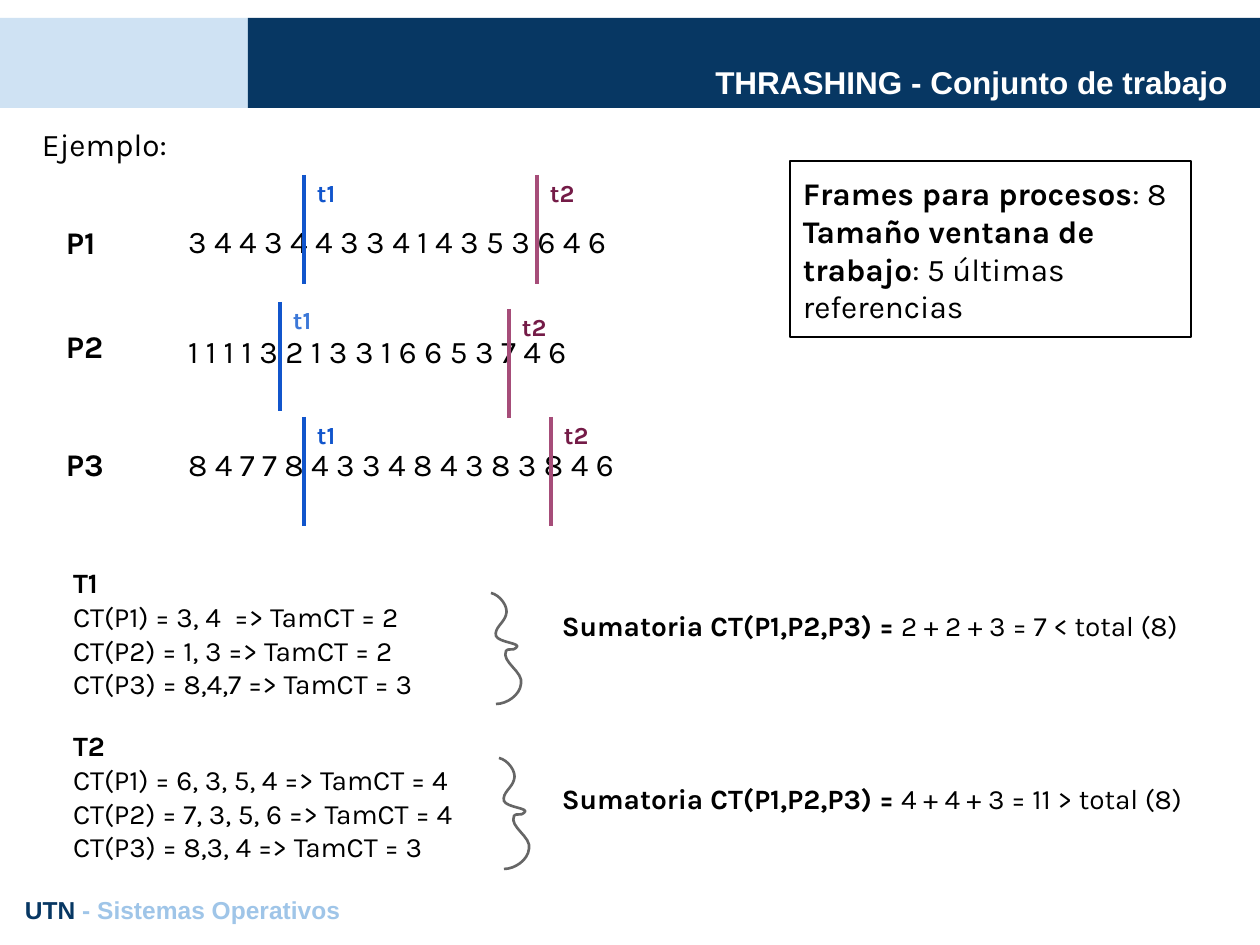
import collections
import dataclasses

import pptx
import pptx.dml.color
import pptx.enum.shapes
import pptx.enum.text
import pptx.oxml.ns
import pptx.oxml.xmlchemy
import pptx.util

PX = 914400 / 126
Box = collections.namedtuple("Box", "left top width height")
Span = collections.namedtuple("Span", "text bold color", defaults=(False, None))
Mark = collections.namedtuple("Mark", "name left top line_color text_color")


@dataclasses.dataclass(frozen=True)
class Theme:
    heading_font: str = "Arial"
    body_font: str = "Karla"
    large: int = 18
    medium: int = 16
    small: int = 14
    black: str = "000000"
    white: str = "FFFFFF"
    navy: str = "073763"
    pale_blue: str = "CFE2F3"
    soft_blue: str = "9FC5E8"
    blue: str = "1155CC"
    light_blue: str = "3C78D8"
    plum: str = "A64D79"
    dark_plum: str = "741B47"
    gray: str = "666666"


THEME = Theme()
ALIGN = pptx.enum.text.PP_ALIGN
ANCHOR = pptx.enum.text.MSO_ANCHOR

ROWS = [
    ("P1", "3 4 4 3 4 4 3 3 4 1 4 3 5 3 6 4 6", Box(53, 175, 1123, 109), 35, 34, [
        Mark("t1", 251, 0, THEME.blue, THEME.blue),
        Mark("t2", 484, 0, THEME.plum, THEME.dark_plum)]),
    ("P2", "1 1 1 1 3 2 1 3 3 1 6 6 5 3 7 4 6", Box(53, 302, 1123, 109), 12, 17, [
        Mark("t1", 227, 0, THEME.blue, THEME.light_blue),
        Mark("t2", 456, 7, THEME.plum, THEME.dark_plum)]),
    ("P3", "8 4 7 7 8 4 3 3 4 8 4 3 8 3 8 4 6", Box(53, 417, 1123, 109), 15, 15, [
        Mark("t1", 251, 0, THEME.blue, THEME.blue),
        Mark("t2", 498, 0, THEME.plum, THEME.dark_plum)]),
]

# Start point, then three points for each curve of the brace
BRACE = [(0, 0), (9, 2), (18, 14), (15, 22), (13, 30), (3, 35), (5, 43),
         (8, 50), (32, 50), (25, 55), (23, 58), (16, 55), (15, 58),
         (10, 69), (33, 79), (30, 91), (29, 102), (16, 111), (5, 111)]


def px(length):
    return pptx.util.Emu(round(length * PX))


def rgb(color):
    return pptx.dml.color.RGBColor.from_string(color)


def fill_text(shape, paras, size, font=THEME.body_font, align=ALIGN.LEFT, anchor=ANCHOR.TOP):
    """Write paras, each a list of spans, into the shape."""
    frame = shape.text_frame
    frame.word_wrap = True
    frame.vertical_anchor = anchor
    frame.margin_left = frame.margin_right = px(13)
    frame.margin_top = frame.margin_bottom = px(13)
    for index, spans in enumerate(paras):
        para = frame.add_paragraph() if index else frame.paragraphs[0]
        para.alignment = align
        para.font.size = pptx.util.Pt(size)
        para.font.name = font
        for span in spans:
            run = para.add_run()
            run.text = span.text
            run.font.bold = span.bold
            run.font.color.rgb = rgb(span.color or THEME.black)


def add_text(page, box, paras, size, **options):
    fill_text(page.shapes.add_textbox(*map(px, box)), paras, size, **options)


def add_rectangle(page, box, fill=None, line=None):
    shape = page.shapes.add_shape(pptx.enum.shapes.MSO_SHAPE.RECTANGLE, *map(px, box))
    shape.shadow.inherit = False
    if fill:
        shape.fill.solid()
        shape.fill.fore_color.rgb = rgb(fill)
    else:
        shape.fill.background()
    if line:
        shape.line.color.rgb = rgb(line)
        shape.line.width = pptx.util.Pt(0.75)
    else:
        shape.line.fill.background()
    return shape


def add_header(page, box, title):
    split = 248
    add_rectangle(page, Box(box.left, box.top, split, box.height), THEME.pale_blue)
    add_rectangle(page, Box(box.left + split, box.top, box.width - split, box.height), THEME.navy)
    add_text(page, Box(box.left + 170, box.top + 33, 1071, 63),
             [[Span(title, True, THEME.white)]], THEME.large,
             font=THEME.heading_font, align=ALIGN.RIGHT, anchor=ANCHOR.BOTTOM)


def add_mark(page, box, mark):
    """Draw a vertical time line with its name at the upper right."""
    left, top = px(box.left), px(box.top)
    line = page.shapes.add_connector(
        pptx.enum.shapes.MSO_CONNECTOR.STRAIGHT, left, top, left, top + px(box.height))
    line.line.color.rgb = rgb(mark.line_color)
    line.line.width = pptx.util.Pt(2.25)
    line._element.spPr.append(pptx.oxml.xmlchemy.OxmlElement("a:effectLst"))
    add_text(page, Box(box.left, box.top - 10, 60, 43),
             [[Span(mark.name, True, mark.text_color)]], THEME.small)


def add_process_row(page, box, name, references, name_top, references_top, marks):
    add_text(page, Box(box.left, box.top + name_top, 82, 63),
             [[Span(name, True)]], THEME.large)
    add_text(page, Box(box.left + 122, box.top + references_top, 1001, 63),
             [[Span(references)]], THEME.large)
    for mark in marks:
        add_mark(page, Box(box.left + mark.left, box.top + mark.top, 0, box.height), mark)


def add_parameters(page, box):
    shape = add_rectangle(page, box, line=THEME.black)
    fill_text(shape, [
        [Span("Frames para procesos", True), Span(": 8")],
        [Span("Tamaño ventana de trabajo", True), Span(": 5 últimas referencias")],
    ], THEME.large)


def add_brace(page, left, top):
    """Draw the brace, turning each three line segments into one cubic curve."""
    points = [(left + x, top + y) for x, y in BRACE]
    builder = page.shapes.build_freeform(*points[0], scale=PX)
    builder.add_line_segments(points[1:], close=False)
    brace = builder.convert_to_shape()
    brace.shadow.inherit = False
    brace.fill.background()
    brace.line.color.rgb = rgb(THEME.gray)
    brace.line.width = pptx.util.Pt(1.5)
    segments = list(brace._element.iter(pptx.oxml.ns.qn("a:lnTo")))
    for start in range(0, len(segments), 3):
        curve = pptx.oxml.xmlchemy.OxmlElement("a:cubicBezTo")
        segments[start].addprevious(curve)
        for segment in segments[start:start + 3]:
            curve.append(segment[0])
            segment.getparent().remove(segment)


def add_working_sets(page, box, name, sets, total, brace_at, total_top):
    """List the working sets at one time, braced with their sum."""
    add_text(page, Box(box.left, box.top, 449, box.height),
             [[Span(name, True)]] + [[Span(line)] for line in sets], THEME.medium)
    add_brace(page, box.left + brace_at[0], box.top + brace_at[1])
    add_text(page, Box(box.left + 489, box.top + total_top, 648, 91),
             [[Span("Sumatoria CT(P1,P2,P3) =", True), Span(total)]], THEME.medium)


def add_footer(page, box):
    add_text(page, box, [[Span("UTN", True, THEME.navy),
                          Span(" - Sistemas Operativos", True, THEME.soft_blue)]],
             THEME.small, font=THEME.heading_font)


def main():
    deck = pptx.Presentation()
    deck.slide_width, deck.slide_height = px(1260), px(945)
    page = deck.slides.add_slide(deck.slide_layouts[6])
    add_header(page, Box(0, 18, 1260, 90), "THRASHING - Conjunto de trabajo")
    add_text(page, Box(29, 112, 190, 63), [[Span("Ejemplo:")]], THEME.large)
    for name, references, box, name_top, references_top, marks in ROWS:
        add_process_row(page, box, name, references, name_top, references_top, marks)
    add_parameters(page, Box(790, 161, 401, 176))
    add_working_sets(page, Box(60, 553, 1137, 176), "T1", [
        "CT(P1) = 3, 4  => TamCT = 2",
        "CT(P2) = 1, 3 => TamCT = 2",
        "CT(P3) = 8,4,7 => TamCT = 3",
    ], " 2 + 2 + 3 = 7 < total (8)", (431, 40), 43)
    add_working_sets(page, Box(60, 716, 1137, 176), "T2", [
        "CT(P1) = 6, 3, 5, 4 => TamCT = 4",
        "CT(P2) = 7, 3, 5, 6 => TamCT = 4",
        "CT(P3) = 8,3, 4 => TamCT = 3",
    ], " 4 + 4 + 3 = 11 > total (8)", (439, 42), 53)
    add_footer(page, Box(12, 882, 1236, 55))
    deck.save("out.pptx")


if __name__ == "__main__":
    main()
